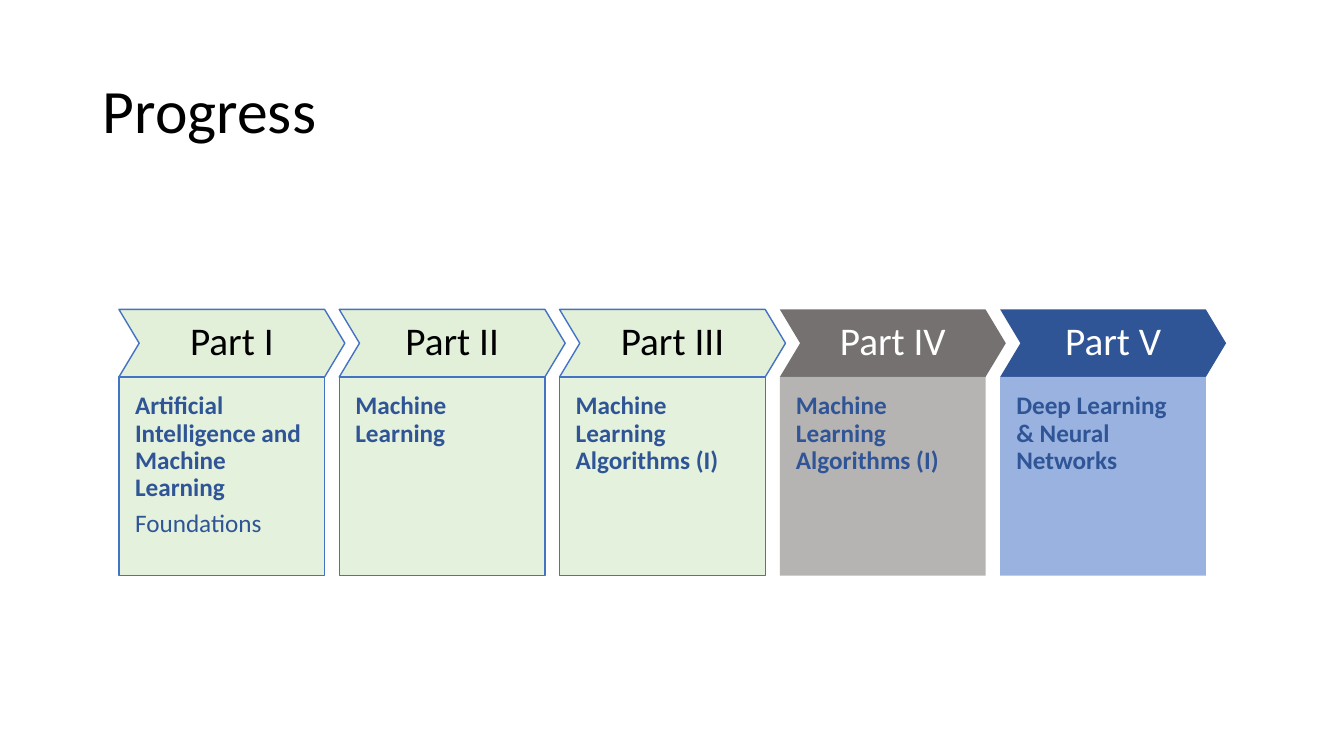
from lxml import etree
from pptx import Presentation
from pptx.dml.color import RGBColor
from pptx.enum.shapes import MSO_SHAPE
from pptx.enum.text import MSO_ANCHOR, PP_ALIGN
from pptx.oxml.ns import qn
from pptx.util import Inches, Pt

CHEVRON, RECTANGLE = MSO_SHAPE.CHEVRON, MSO_SHAPE.RECTANGLE
TOP, MIDDLE = MSO_ANCHOR.TOP, MSO_ANCHOR.MIDDLE
LEFT, CENTER = PP_ALIGN.LEFT, PP_ALIGN.CENTER
FONT = "Calibri"
LINE_SPACING = 0.9
COLORS = {
    "black": "000000", "white": "FFFFFF", "green": "E2F0D9", "outline": "4472C4",
    "gray": "767171", "light_gray": "AFABAB", "navy": "2F5597", "light_blue": "8FAADC",
}
STYLES = {
    "done": ("green", "green", "outline", "black"),
    "current": ("gray", "light_gray", None, "white"),
    "ahead": ("navy", "light_blue", None, "white"),
}
PARTS = [
    ("Part I", "Artificial Intelligence and Machine Learning", "Foundations", "done"),
    ("Part II", "Machine Learning", None, "done"),
    ("Part III", "Machine Learning Algorithms (I)", None, "done"),
    ("Part IV", "Machine Learning Algorithms (I)", None, "current"),
    ("Part V", "Deep Learning & Neural Networks", None, "ahead"),
]


def rgb(name):
    """Return the named colour."""
    return RGBColor.from_string(COLORS[name])


def format_paragraph(paragraph, size, color, align=LEFT, bold=False):
    """Set the alignment, spacing and font of one paragraph."""
    paragraph.alignment = align
    paragraph.line_spacing = LINE_SPACING
    paragraph.font.name = FONT
    paragraph.font.size = Pt(size)
    paragraph.font.bold = bold
    paragraph.font.color.rgb = rgb(color)


def add_panel(slide, preset, box, fill, outline, insets, anchor):
    """Add a filled shape in the box and return it ready for text."""
    panel = slide.shapes.add_shape(preset, *(Inches(length) for length in box))
    panel.shadow.inherit = False
    panel.fill.solid()
    panel.fill.fore_color.rgb = rgb(fill)
    if outline:
        panel.line.color.rgb = rgb(outline)
        panel.line.width = Pt(1)
    else:
        panel.line.fill.background()
    frame = panel.text_frame
    frame.word_wrap = True
    frame.vertical_anchor = anchor
    frame.margin_left, frame.margin_top, frame.margin_right, frame.margin_bottom = (
        Inches(inset) for inset in insets)
    return panel


def set_opacity(panel, percent):
    """Make the fill of a panel partly transparent."""
    color = panel.fill._xPr.find(qn("a:solidFill"))[0]
    etree.SubElement(color, qn("a:alpha")).set("val", str(percent * 1000))


def add_title(slide, box, wording):
    """Place and format the slide title."""
    title = slide.shapes.title
    title.left, title.top, title.width, title.height = (Inches(length) for length in box)
    title.text_frame.text = wording
    title.text_frame.vertical_anchor = MIDDLE
    format_paragraph(title.text_frame.paragraphs[0], 44, "black")


def add_part(slide, box, part):
    """Add one step: a chevron heading above its topic card."""
    left, top, width, height = box
    label, topic, detail, state = part
    heading_fill, card_fill, outline, heading_color = STYLES[state]
    heading_height = height / 4 + 0.01
    tip = 0.3 * heading_height

    heading = add_panel(slide, CHEVRON, (left, top, width + tip, heading_height),
                        heading_fill, outline, (0.08,) * 4, MIDDLE)
    heading.adjustments[0] = 0.3
    heading.text_frame.text = label
    format_paragraph(heading.text_frame.paragraphs[0], 28, heading_color, CENTER)

    card = add_panel(slide, RECTANGLE,
                     (left, top + heading_height, width, height - heading_height),
                     card_fill, outline, (0.16, 0.16, 0.16, 0.32), TOP)
    set_opacity(card, 90)
    card.text_frame.text = "\n".join(filter(None, (topic, detail)))
    for row, paragraph in enumerate(card.text_frame.paragraphs):
        format_paragraph(paragraph, 18, "navy", bold=row == 0)
        paragraph.space_after = Pt(6.3)


def add_progress(slide, box, parts, gap):
    """Spread the parts in equal columns over the box."""
    left, top, width, height = box
    column = (width - gap * (len(parts) - 1)) / len(parts)
    for index, part in enumerate(parts):
        add_part(slide, (left + index * (column + gap), top, column, height), part)


def main():
    """Build and save the slide."""
    deck = Presentation()
    deck.slide_width, deck.slide_height = Inches(13.33), Inches(7.5)
    slide = deck.slides.add_slide(deck.slide_layouts[5])
    add_title(slide, (0.92, 0.4, 11.5, 1.45), "Progress")
    add_progress(slide, (1.18, 3.07, 10.78, 2.64), PARTS, 0.145)
    deck.save("out.pptx")


if __name__ == "__main__":
    main()
